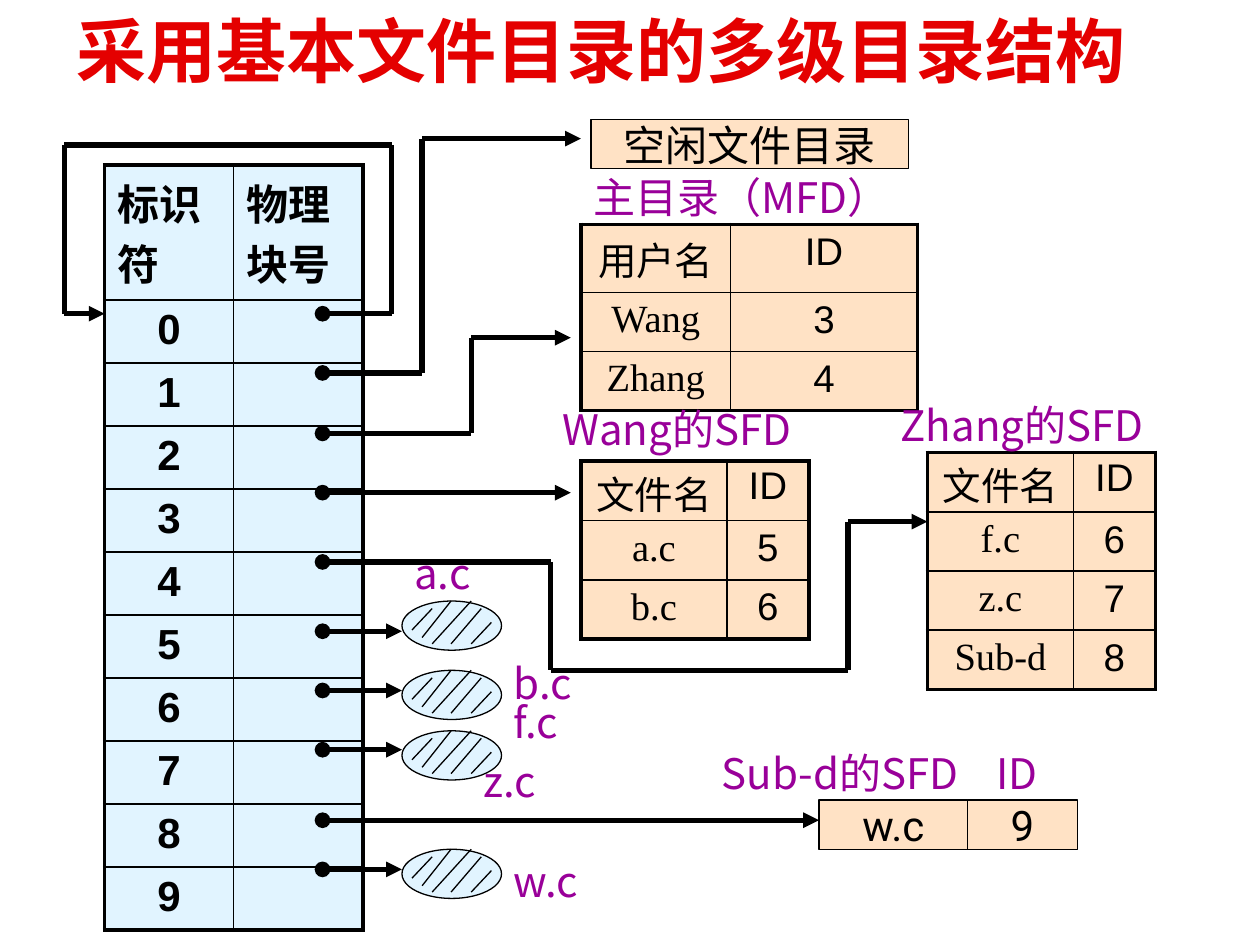
"""Build a slide on multilevel directories that use a base file directory."""
from itertools import pairwise
from typing import NamedTuple

from lxml.etree import SubElement
from pptx import Presentation
from pptx.dml.color import RGBColor
from pptx.enum.shapes import MSO_CONNECTOR, MSO_SHAPE
from pptx.enum.text import MSO_ANCHOR, PP_ALIGN
from pptx.oxml.ns import qn
from pptx.util import Inches, Pt

WIDTH, HEIGHT = Inches(10), Inches(7.5)
COLUMNS, ROWS = 100, 75
BLACK, WHITE, RED, PURPLE = "000000", "FFFFFF", "E40000", "990099"
BLUE, PEACH = "E1F4FF", "FFE2C5"
CHINESE = "Noto Sans CJK SC"
HATCHES = [(2.4, 0.6, 0.8, 2.3), (3.9, 0, 1.6, 2.9), (5.5, 0, 2.4, 3.4),
           (6.3, 0.6, 3.9, 3.4), (7.1, 1.7, 5.5, 3.4)]


class Directory(NamedTuple):
    left: float
    top: float
    widths: list[float]
    header_height: float
    row_height: float
    cells: list[tuple[str, str]]
    fill: str = PEACH
    size: int = 22
    name_font: str = "Times New Roman"
    bold: bool = False


class Box(NamedTuple):
    left: float
    top: float
    width: float
    text: str


class Route(NamedTuple):
    points: list[tuple[float, float]]


DIRECTORIES = [
    Directory(8.3, 13.1, [10.25, 10.25], 10.7, 5,
              [("标识符", "物理块号")] + [(str(number), "") for number in range(10)],
              BLUE, 24, "Arial", True),
    Directory(46.1, 17.8, [11.9, 14.8], 5.4, 4.7,
              [("用户名", "ID"), ("Wang", "3"), ("Zhang", "4")]),
    Directory(46.1, 36.6, [11.6, 6.5], 4.7, 4.7,
              [("文件名", "ID"), ("a.c", "5"), ("b.c", "6")]),
    Directory(73.6, 35.9, [11.6, 6.5], 4.7, 4.7,
              [("文件名", "ID"), ("f.c", "6"), ("z.c", "7"), ("Sub-d", "8")]),
]
BOXES = [Box(46.9, 9.5, 25.2, "空闲文件目录"), Box(65, 63.5, 11.8, "w.c"),
         Box(76.8, 63.5, 8.7, "9")]
LABELS = [
    Box(46.1, 13.1, 28.4, "主目录（MFD）"), Box(43.7, 31.5, 26, "Wang的SFD"),
    Box(70.5, 31.2, 26, "Zhang的SFD"), Box(56.3, 58.8, 23.5, "Sub-d的SFD"),
    Box(78.1, 58.8, 6.3, "ID"), Box(31.9, 43, 9.4, "a.c"),
    Box(39.8, 51.7, 9.4, "b.c"), Box(39.8, 54.8, 9.4, "f.c"),
    Box(37.4, 59.5, 9.4, "z.c"), Box(39.8, 67.4, 9.4, "w.c"),
]
START, BLOCK_LEFT = 25.6, 31.9
BLOCKS = [(50.1, 47.7), (54.8, 53.2), (59.5, 58), (69, 67.4)]
ROUTES = [
    Route([(START, 24.9), (31.1, 24.9), (31.1, 11.5), (5.1, 11.5), (5.1, 24.9), (8.3, 24.9)]),
    Route([(START, 29.6), (33.5, 29.6), (33.5, 11), (46.1, 11)]),
    Route([(START, 34.4), (37.4, 34.4), (37.4, 26.8), (45.3, 26.8)]),
    Route([(START, 39.1), (45.3, 39.1)]),
    Route([(START, 44.6), (43.7, 44.6), (43.7, 53.2), (67.3, 53.2), (67.3, 41.4), (73.6, 41.4)]),
    Route([(START, 65.1), (65, 65.1)]),
] + [Route([(START, row), (BLOCK_LEFT, row)]) for row, _ in BLOCKS]


def across(columns: float) -> int:
    """Convert grid columns to a length."""
    return round(WIDTH * columns / COLUMNS)


def down(rows: float) -> int:
    """Convert grid rows to a length."""
    return round(HEIGHT * rows / ROWS)


def color(value: str) -> RGBColor:
    """Read a hex colour."""
    return RGBColor.from_string(value)


def write(frame, text: str, size: int, font: str, ink: str = BLACK,
          bold: bool = False, align=PP_ALIGN.LEFT) -> None:
    """Put one formatted paragraph in a text frame."""
    frame.text = text
    para = frame.paragraphs[0]
    para.alignment = align
    for span in para.runs:
        span.font.size, span.font.bold, span.font.name = Pt(size), bold, font
        span.font.color.rgb = color(ink)
        SubElement(span.font._element, qn("a:ea"), typeface=CHINESE)


def border(cell, side: str, points: float) -> None:
    """Rule one side of a table cell."""
    line = SubElement(cell._tc.get_or_add_tcPr(), qn(f"a:ln{side}"), w=str(Pt(points)))
    SubElement(SubElement(line, qn("a:solidFill")), qn("a:srgbClr"), val=BLACK)


def draw_directory(page, item: Directory) -> None:
    """Draw a directory table with a heavy outline."""
    count = len(item.cells)
    heights = [item.header_height] + [item.row_height] * (count - 1)
    table = page.shapes.add_table(count, 2, across(item.left), down(item.top),
                                  across(sum(item.widths)), down(sum(heights))).table
    table.first_row = table.horz_banding = False
    for column, width in zip(table.columns, item.widths):
        column.width = across(width)
    for r, (height, texts) in enumerate(zip(heights, item.cells)):
        table.rows[r].height = down(height)
        for c, text in enumerate(texts):
            cell = table.cell(r, c)
            edges = {"L": c == 0, "R": c == 1, "T": r == 0, "B": r == count - 1}
            for side, outer in edges.items():
                border(cell, side, 2.25 if outer else 1)
            cell.fill.solid()
            cell.fill.fore_color.rgb = color(item.fill)
            roomy = r > 0 or item.header_height > item.row_height
            cell.margin_top = Inches(0.05 if roomy else 0.03)
            cell.margin_bottom = 0
            font = item.name_font if r and c == 0 else "Arial"
            align = PP_ALIGN.LEFT if item.bold and r == 0 else PP_ALIGN.CENTER
            write(cell.text_frame, text, item.size, font, BLACK, item.bold, align)


def draw_shape(shapes, kind, left: float, top: float, width: float, fill: str):
    """Draw a thinly outlined shape of the common height."""
    shape = shapes.add_shape(kind, across(left), down(top), across(width), down(3.9))
    shape.shadow.inherit = False
    shape.fill.solid()
    shape.fill.fore_color.rgb = color(fill)
    shape.line.color.rgb = color(BLACK)
    shape.line.width = Pt(0.75)
    return shape


def draw_line(shapes, start: tuple, end: tuple, points: float,
              dot: bool = False, arrow: bool = False) -> None:
    """Draw a straight line with optional dot and arrowhead."""
    line = shapes.add_connector(MSO_CONNECTOR.STRAIGHT, across(start[0]), down(start[1]),
                                across(end[0]), down(end[1]))
    line.line.color.rgb = color(BLACK)
    line.line.width = Pt(points)
    properties = line._element.spPr
    SubElement(properties, qn("a:effectLst"))
    stroke = properties.find(qn("a:ln"))
    if dot:
        SubElement(stroke, qn("a:headEnd"), type="oval")
    if arrow:
        SubElement(stroke, qn("a:tailEnd"), type="triangle")


def draw_route(page, route: Route) -> None:
    """Draw a pointer as a chain of straight lines."""
    segments = list(pairwise(route.points))
    for index, (start, end) in enumerate(segments):
        draw_line(page.shapes, start, end, 3, index == 0, index == len(segments) - 1)


def draw_block(page, top: float) -> None:
    """Draw a hatched file block."""
    shapes = page.shapes.add_group_shape().shapes
    draw_shape(shapes, MSO_SHAPE.OVAL, BLOCK_LEFT, top, 7.9, BLUE)
    for x1, y1, x2, y2 in HATCHES:
        draw_line(shapes, (BLOCK_LEFT + x1, top + y1), (BLOCK_LEFT + x2, top + y2), 0.75)


def draw_box(page, box: Box) -> None:
    """Draw a filled box with centred text."""
    shape = draw_shape(page.shapes, MSO_SHAPE.RECTANGLE, box.left, box.top, box.width, PEACH)
    shape.text_frame.word_wrap = False
    shape.text_frame.vertical_anchor = MSO_ANCHOR.MIDDLE
    write(shape.text_frame, box.text, 24, "Roboto", align=PP_ALIGN.CENTER)


def draw_label(page, label: Box) -> None:
    """Draw a purple caption."""
    frame = page.shapes.add_textbox(across(label.left), down(label.top),
                                    across(label.width), down(5)).text_frame
    frame.word_wrap = True
    write(frame, label.text, 24, CHINESE, PURPLE)


def draw_title(page) -> None:
    """Place and format the title."""
    title = page.shapes.title
    title.left, title.top, title.width, title.height = across(5.1), 0, across(86.7), down(7.9)
    title.fill.solid()
    title.fill.fore_color.rgb = color(WHITE)
    title.text_frame.vertical_anchor = MSO_ANCHOR.MIDDLE
    write(title.text_frame, "采用基本文件目录的多级目录结构", 40, "Arial", RED, True)


def main() -> None:
    """Build and save the deck."""
    deck = Presentation()
    deck.slide_width, deck.slide_height = WIDTH, HEIGHT
    page = deck.slides.add_slide(deck.slide_layouts[5])
    draw_title(page)
    for draw, items in ((draw_directory, DIRECTORIES), (draw_box, BOXES), (draw_route, ROUTES),
                        (draw_block, [top for _, top in BLOCKS]), (draw_label, LABELS)):
        for item in items:
            draw(page, item)
    deck.save("out.pptx")


if __name__ == "__main__":
    main()
